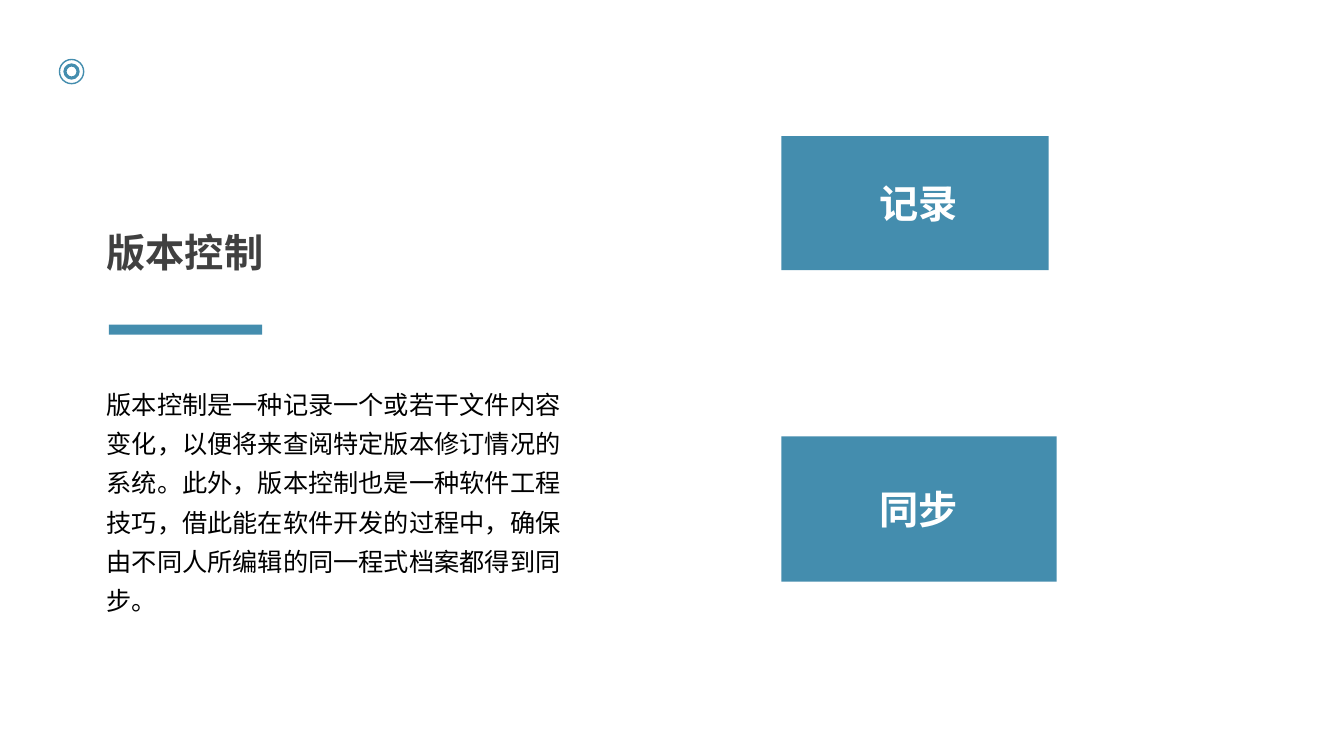
from dataclasses import dataclass

from lxml.etree import SubElement
from pptx import Presentation
from pptx.dml.color import RGBColor
from pptx.enum.shapes import MSO_SHAPE
from pptx.enum.text import MSO_ANCHOR, PP_ALIGN
from pptx.oxml.ns import qn
from pptx.util import Inches, Pt


@dataclass(frozen=True)
class Theme:
    font: str = "Noto Sans CJK SC"
    accent: str = "448DAE"
    white: str = "FFFFFF"
    title: str = "404040"
    body: str = "000000"
    heading_size: float = 28
    body_size: float = 18


class Deck:
    def __init__(self, theme):
        self.theme = theme
        self.prs = Presentation()
        self.prs.slide_width = Inches(13.33)
        self.prs.slide_height = Inches(7.5)
        self.s = self.prs.slides.add_slide(self.prs.slide_layouts[6])

    def shape(self, kind, box, fill, line_width=None):
        sp = self.s.shapes.add_shape(kind, *map(Inches, box))
        sp.shadow.inherit = False
        sp.fill.solid()
        sp.fill.fore_color.rgb = RGBColor.from_string(fill)
        if line_width is None:
            sp.line.fill.background()
        else:
            sp.line.color.rgb = RGBColor.from_string(self.theme.accent)
            sp.line.width = Pt(line_width)
        return sp

    def block(self, *box):
        return self.shape(MSO_SHAPE.RECTANGLE, box, self.theme.accent)

    def ring(self, center, diameter, line_width):
        corner = center - diameter / 2
        box = (corner, corner, diameter, diameter)
        self.shape(MSO_SHAPE.OVAL, box, self.theme.white, line_width)

    def put_text(self, sp, text, size, color, bold=False, align=PP_ALIGN.LEFT, spacing=None):
        tf = sp.text_frame
        tf.word_wrap = True
        p = tf.paragraphs[0]
        p.alignment = align
        if spacing:
            p.line_spacing = spacing
        r = p.add_run()
        r.text = text
        r.font.size = Pt(size)
        r.font.bold = bold
        r.font.color.rgb = RGBColor.from_string(color)
        r.font.name = self.theme.font
        SubElement(r._r.get_or_add_rPr(), qn("a:ea"), typeface=self.theme.font)

    def text_box(self, box, *args, **kwargs):
        self.put_text(self.s.shapes.add_textbox(*map(Inches, box)), *args, **kwargs)


def main():
    t = Theme()
    deck = Deck(t)

    deck.ring(0.71, 0.24, 1)
    deck.ring(0.71, 0.13, 2.25)

    deck.text_box((0.96, 2.22, 3.47, 0.57), "版本控制", t.heading_size, t.title, bold=True)
    deck.block(1.08, 3.22, 1.52, 0.1)
    deck.text_box(
        (0.96, 3.72, 4.91, 2.43),
        "版本控制是一种记录一个或若干文件内容变化，以便将来查阅特定版本修订情况的系统。"
        "此外，版本控制也是一种软件工程技巧，借此能在软件开发的过程中，"
        "确保由不同人所编辑的同一程式档案都得到同步。",
        t.body_size, t.body, spacing=1.3,
    )

    label = dict(size=t.heading_size, color=t.white, bold=True, align=PP_ALIGN.CENTER)
    deck.block(7.75, 1.35, 2.65, 1.33)
    deck.text_box((7.91, 1.73, 2.41, 0.57), "记录", **label)
    sync = deck.block(7.75, 4.33, 2.73, 1.44)
    sync.text_frame.vertical_anchor = MSO_ANCHOR.MIDDLE
    deck.put_text(sync, "同步", **label)

    deck.prs.save("out.pptx")


if __name__ == "__main__":
    main()
